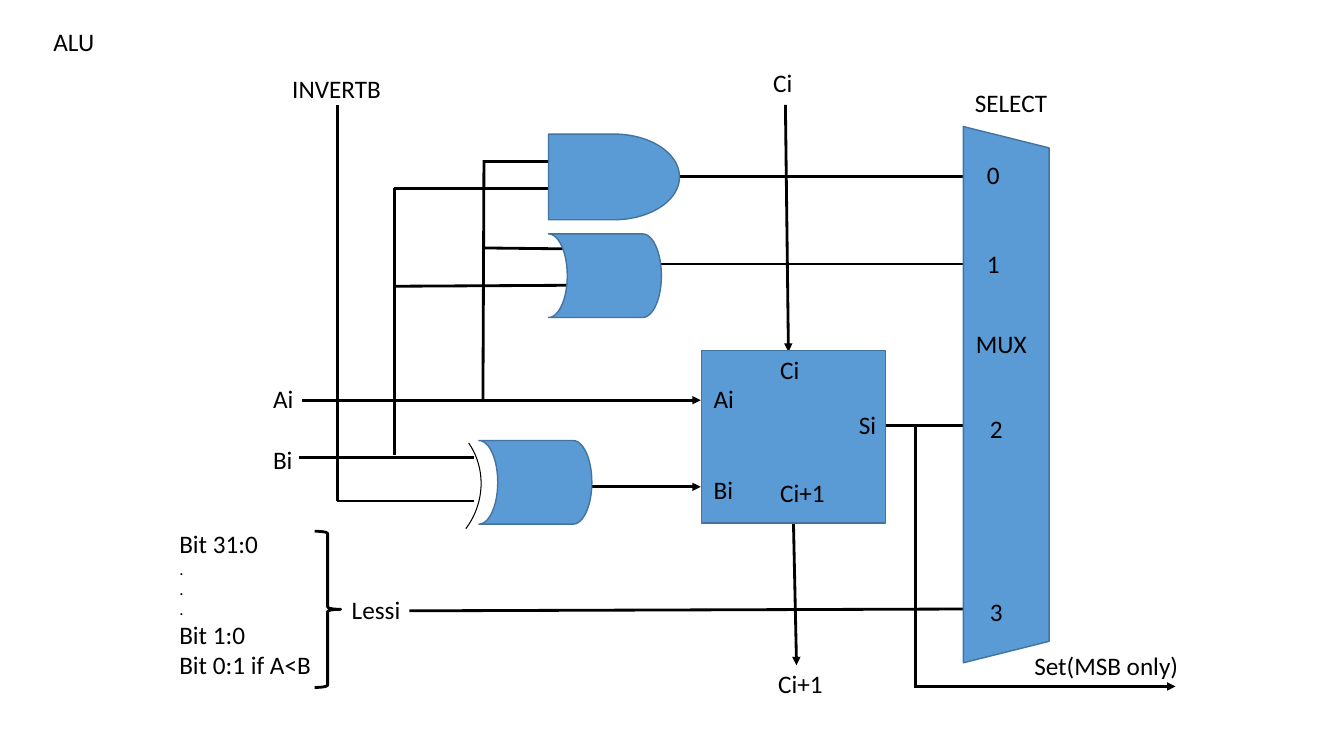
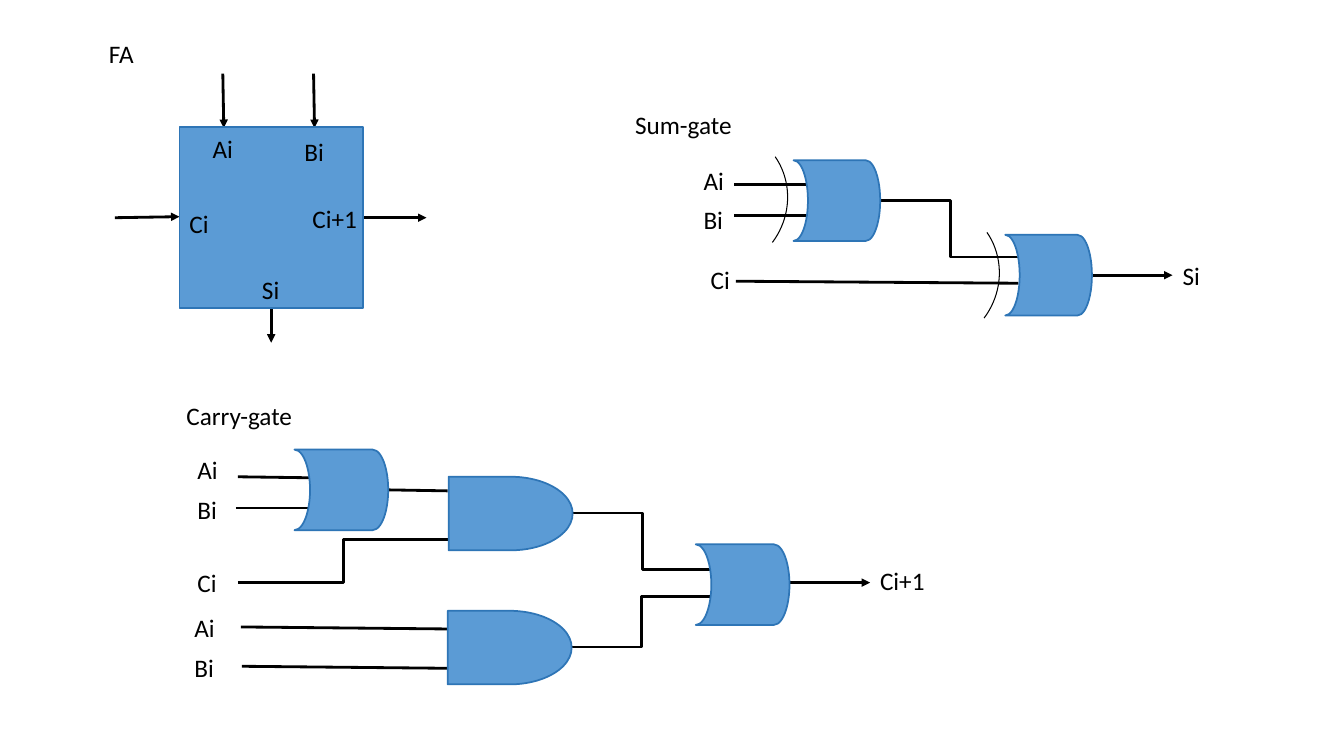
from pptx import Presentation
from pptx.dml.color import RGBColor
from pptx.enum.shapes import MSO_CONNECTOR as LINK, MSO_SHAPE as FORM
from pptx.enum.text import MSO_ANCHOR as ANCHOR, MSO_AUTO_SIZE as FIT, PP_ALIGN as ALIGN
from pptx.oxml.ns import qn
from pptx.util import Cm, Pt
from lxml import etree

# Shared look
FONT, SIZE, SMALL = "Calibri", 18, 12
BLACK, BLUE = "000000", "5B9BD5"
WIRE, THIN = 2, 0.75
ROW = 0.4       # height of a one-line label
STEP = 0.39     # from label Ai down to label Bi

# Part kinds: form, turn in degrees, adjustments, filled, line width (None: edge of slide)
KINDS = {
    "box": (FORM.RECTANGLE, 0, (), True, None),
    "and": (FORM.FLOWCHART_DELAY, 0, (), True, None),
    "or": (FORM.FLOWCHART_STORED_DATA, 180, (), True, None),
    "mux": (FORM.TRAPEZOID, 90, (), True, None),
    "arc": (FORM.ARC, 39.1, (171.01, 214.51), False, THIN),
    "brace": (FORM.RIGHT_BRACE, 0, (), False, WIRE),
}
KINDS["or"] = (FORM.FLOWCHART_STORED_DATA, 180, (), True, None)
ARC = (1.41, 1.47)


def pair(x, y, step=STEP, wide=0.57):
    """Labels Ai and Bi, one above the other."""
    return [(x, y + i * step, wide, text) for i, text in enumerate(("Ai", "Bi"))]


# Content: places in inches
# parts: kind, left, top, width, height; labels: left, top, width, lines
# wires, arrows and bends: x1, y1, x2, y2
ALU = {
    "title": ("ALU", 0.43, 0.21),
    "edge": ("43739E", 1),
    "wires": [
        (3.35, 1.04, 3.35, 4.97), (2.97, 4.54, 4.7, 4.54), (3.34, 4.97, 4.7, 4.97),
        (6.49, 2.62, 9.57, 2.62), (6.69, 1.75, 9.6, 1.75), (8.78, 4.22, 9.6, 4.22),
        (3.91, 1.87, 5.44, 1.87), (3.91, 2.84, 5.67, 2.83), (4.8, 2.46, 5.69, 2.47),
        (3.91, 1.87, 3.91, 4.51), (4.8, 1.59, 4.79, 3.97), (9.08, 4.21, 9.08, 6.83),
        (4.79, 1.6, 5.68, 1.6), (4.06, 6.06, 10.17, 6.04),
    ],
    "arrows": [
        (3, 3.97, 6.95, 3.97), (7.79, 1.04, 7.82, 3.49), (7.87, 5.19, 7.9, 6.6),
        (9.08, 6.81, 11.66, 6.81), (5.47, 4.83, 6.95, 4.83),
    ],
    "bends": [],
    "parts": [
        ("box", 6.96, 3.48, 1.82, 1.71), ("and", 5.44, 1.33, 1.3, 0.85),
        ("or", 5.44, 2.32, 1.12, 0.83), ("or", 4.75, 4.37, 1.12, 0.83),
        ("arc", 3.35, 4.09, *ARC), ("brace", 3.12, 5.27, 0.26, 1.55),
        ("mux", 7.32, 3.49, 5.32, 0.85),
    ],
    "labels": [
        *pair(2.61, 3.75, 0.61, 1), *pair(6.98, 3.75, 0.91),
        (7.64, 3.47, 0.82, "Ci"), (7.64, 4.69, 0.82, "Ci+1"),
        (8.42, 4.01, 0.38, "Si"), (2.8, 0.68, 1.09, "INVERTB"),
        (7.57, 0.62, 0.39, "Ci"), (7.62, 6.58, 0.7, "Ci+1"),
        (1.68, 5.19, 1.96, "Bit 31:0\n.\n.\n.\nBit 1:0\nBit 0:1 if A<B"),
        (3.39, 5.85, 0.82, "Lessi"), (10.16, 6.4, 1.7, "Set(MSB only)"),
        (9.57, 0.82, 0.93, "SELECT"), (9.58, 3.21, 0.89, "MUX"),
        (9.69, 1.53, 0.48, "0"), (9.69, 2.41, 0.48, "1"),
        (9.72, 4.05, 0.48, "2"), (9.72, 5.87, 0.48, "3"),
    ],
}

ADDER = {
    "title": ("FA", 0.98, 0.33),
    "edge": ("2E75B6", 1.25),
    "wires": [
        # Carry gate
        (3.85, 4.86, 4.44, 4.87), (2.36, 4.73, 3.07, 4.74), (2.34, 5.04, 3.05, 5.04),
        (2.4, 6.61, 4.45, 6.63), (2.39, 6.22, 4.44, 6.24),
        # Sum gate
        (7.3, 2.79, 10.1, 2.81), (7.28, 1.83, 7.99, 1.83), (7.28, 2.14, 7.99, 2.14),
    ],
    "arrows": [
        (7.84, 5.78, 8.63, 5.78), (10.83, 2.73, 11.63, 2.73),
        # Adder box
        (3.59, 2.16, 4.23, 2.16), (2.69, 3.06, 2.69, 3.4), (3.11, 0.73, 3.12, 1.27),
        (2.21, 0.73, 2.22, 1.27), (1.14, 2.16, 1.78, 2.15),
    ],
    "bends": [
        (5.68, 5.09, 7.06, 5.65), (5.67, 6.42, 7.06, 5.92),
        (2.36, 5.78, 4.45, 5.35), (8.73, 1.99, 10.12, 2.55),
    ],
    "parts": [
        ("box", 1.78, 1.26, 1.82, 1.8),
        ("or", 2.92, 4.46, 0.93, 0.8), ("or", 6.9, 5.4, 0.93, 0.8),
        ("and", 4.45, 4.73, 1.23, 0.73), ("and", 4.44, 6.06, 1.23, 0.73),
        ("or", 7.87, 1.59, 0.86, 0.8), ("or", 9.97, 2.33, 0.86, 0.8),
        ("arc", 6.39, 1.25, *ARC), ("arc", 8.49, 2, *ARC),
    ],
    "labels": [
        (6.2, 1.04, 1.89, "Sum-gate"), (1.75, 3.92, 1.89, "Carry-gate"),
        *pair(1.86, 4.46), *pair(1.83, 6.03), *pair(6.88, 1.59),
        (1.86, 5.58, 1.08, "Ci"), (8.63, 5.56, 1.08, "Ci+1"),
        (6.95, 2.57, 1.08, "Ci"), (11.63, 2.53, 1.08, "Si"),
        (1.78, 2.02, 0.46, "Ci"), (3, 1.97, 0.72, "Ci+1"), (2.5, 2.67, 1.08, "Si"),
        (2.01, 1.27, 0.6, "Ai"), (2.92, 1.3, 0.55, "Bi"),
    ],
}


def color(code):
    return RGBColor.from_string(code)


def place(*spots):
    return [Cm(spot * 2.54) for spot in spots]


def write(frame, text):
    frame.word_wrap = True
    frame.auto_size = FIT.NONE
    frame.vertical_anchor = ANCHOR.TOP
    for i, line in enumerate(text.split("\n")):
        para = frame.paragraphs[0] if i == 0 else frame.add_paragraph()
        para.alignment = ALIGN.LEFT
        run = para.add_run()
        run.text = line
        run.font.name = FONT
        run.font.size = Pt(SMALL if line == "." else SIZE)
        run.font.color.rgb = color(BLACK)


def head(slide, text, x, y):
    title = slide.shapes.title
    title.left, title.top, title.width, title.height = place(x, y, 1.89, ROW)
    write(title.text_frame, text)


def label(slide, x, y, wide, text):
    high = ROW + 0.24 * text.count("\n")
    box = slide.shapes.add_textbox(*place(x, y, wide, high))
    write(box.text_frame, text)


def link(slide, spots, form=LINK.STRAIGHT, arrow=False):
    wire = slide.shapes.add_connector(form, *place(*spots))
    wire.line.color.rgb = color(BLACK)
    wire.line.width = Pt(WIRE)
    if arrow:
        etree.SubElement(wire.line._get_or_add_ln(), qn("a:tailEnd"), type="triangle")
    etree.SubElement(wire._element.spPr, qn("a:effectLst"))


def part(slide, edge, kind, *spots):
    form, turn, tweaks, filled, width = KINDS[kind]
    shape = slide.shapes.add_shape(form, *place(*spots))
    shape.shadow.inherit = False
    shape.rotation = turn
    for i, tweak in enumerate(tweaks):
        shape.adjustments[i] = tweak
    if filled:
        shape.fill.solid()
        shape.fill.fore_color.rgb = color(BLUE)
    else:
        shape.fill.background()
    shape.line.color.rgb = color(edge[0] if filled else BLACK)
    shape.line.width = Pt(width or edge[1])


def draw(deck, plan):
    slide = deck.slides.add_slide(deck.slide_layouts[5])
    head(slide, *plan["title"])
    # Wires go below the gates, labels on top
    for spots in plan["wires"]:
        link(slide, spots)
    for spots in plan["arrows"]:
        link(slide, spots, arrow=True)
    for spots in plan["bends"]:
        link(slide, spots, LINK.ELBOW)
    for item in plan["parts"]:
        part(slide, plan["edge"], *item)
    for item in plan["labels"]:
        label(slide, *item)


deck = Presentation()
deck.slide_width, deck.slide_height = place(13.33, 7.5)
for plan in (ALU, ADDER):
    draw(deck, plan)
deck.save("out.pptx")
